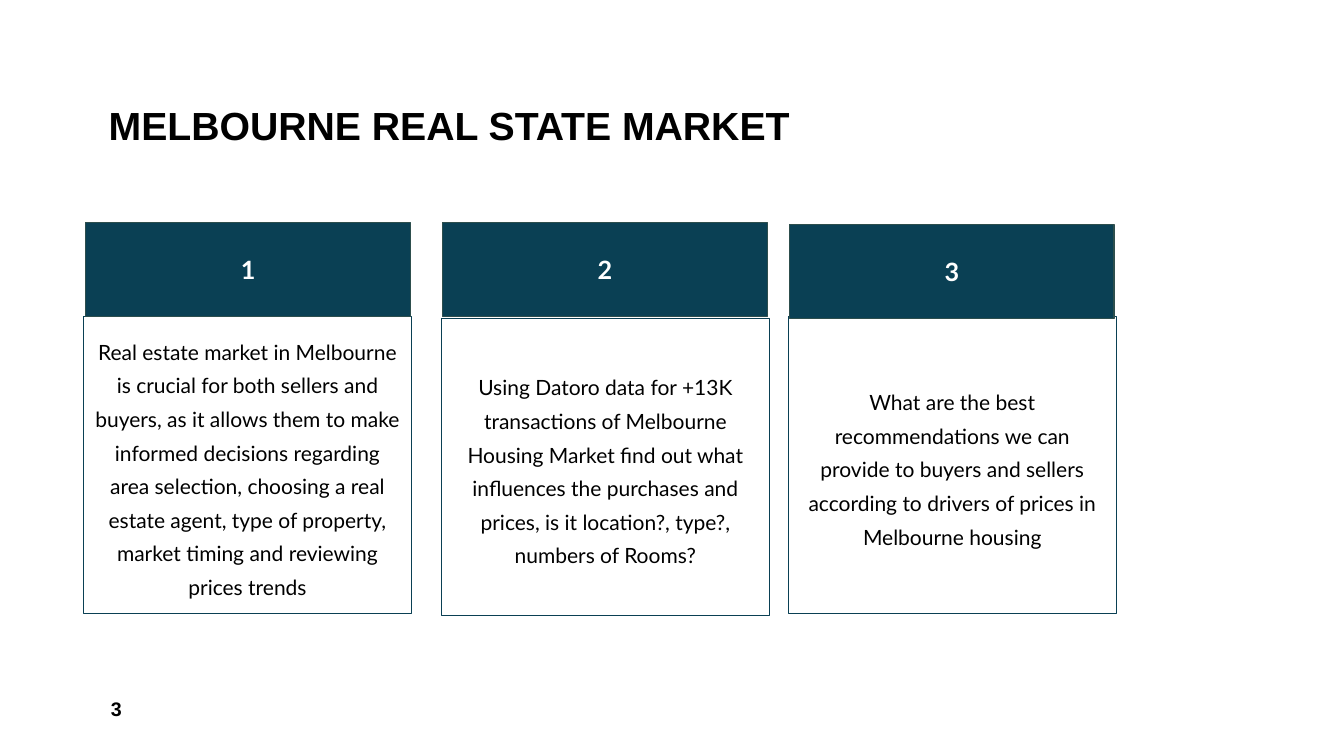
from pptx import Presentation
from pptx.dml.color import RGBColor
from pptx.enum.shapes import MSO_SHAPE
from pptx.enum.text import MSO_ANCHOR, PP_ALIGN
from pptx.util import Inches, Pt

COLORS = {"teal": "0A4054", "edge": "2D4E4D", "black": "000000", "white": "FFFFFF"}

prs = Presentation()
prs.slide_width, prs.slide_height = Inches(13.33), Inches(7.5)
slide = prs.slides.add_slide(prs.slide_layouts[6])


def write(shape, text, font, size, color, bold=False,
          align=PP_ALIGN.LEFT, anchor=MSO_ANCHOR.MIDDLE):
    frame = shape.text_frame
    frame.word_wrap = True
    frame.vertical_anchor = anchor
    paragraph = frame.paragraphs[0]
    paragraph.text = text
    paragraph.alignment = align
    paragraph.font.name = font
    paragraph.font.size = Pt(size)
    paragraph.font.bold = bold
    paragraph.font.color.rgb = RGBColor.from_string(COLORS[color])
    return paragraph


def add_box(left, top, width, height, line, line_width, fill=None):
    box = slide.shapes.add_shape(MSO_SHAPE.RECTANGLE, Inches(left), Inches(top),
                                 Inches(width), Inches(height))
    box.shadow.inherit = False
    if fill:
        box.fill.solid()
        box.fill.fore_color.rgb = RGBColor.from_string(COLORS[fill])
    else:
        box.fill.background()
    box.line.color.rgb = RGBColor.from_string(COLORS[line])
    box.line.width = Pt(line_width)
    return box


# Title
title = slide.shapes.add_textbox(Inches(0.98), Inches(0.08), Inches(9.07), Inches(1.45))
heading = write(title, "MELBOURNE REAL STATE MARKET", "Arial", 28, "black",
                bold=True, anchor=MSO_ANCHOR.BOTTOM)
heading.line_spacing = 0.9

# Numbered cards: header left and top, body left and top, body text
cards = [
    (0.85, 2.21, 0.83, 3.14,
     "Real estate market in Melbourne is crucial for both sellers and buyers, "
     "as it allows them to make informed decisions regarding area selection, "
     "choosing a real estate agent, type of property, market timing and "
     "reviewing prices trends"),
    (4.39, 2.21, 4.38, 3.16,
     "Using Datoro data for +13K transactions of Melbourne Housing Market find "
     "out what influences the purchases and prices, is it location?, type?, "
     "numbers of Rooms?"),
    (7.83, 2.23, 7.82, 3.14,
     "What are the best recommendations we can provide to buyers and sellers "
     "according to drivers of prices in Melbourne housing"),
]
for number, (header_left, header_top, body_left, body_top, text) in enumerate(cards, 1):
    body = add_box(body_left, body_top, 3.25, 2.95, "teal", 0.75)
    description = write(body, text, "Lato", 15, "black", align=PP_ALIGN.CENTER)
    description.line_spacing = Pt(24)
    description.space_after = Pt(12)

    header = add_box(header_left, header_top, 3.22, 0.93, "edge", 1, fill="teal")
    write(header, str(number), "Lato", 18, "white", bold=True, align=PP_ALIGN.CENTER)

# Slide number
page_number = slide.shapes.add_textbox(Inches(1), Inches(6.83), Inches(2.92), Inches(0.4))
write(page_number, "3", "Arial", 14, "black", bold=True)

prs.save("out.pptx")
